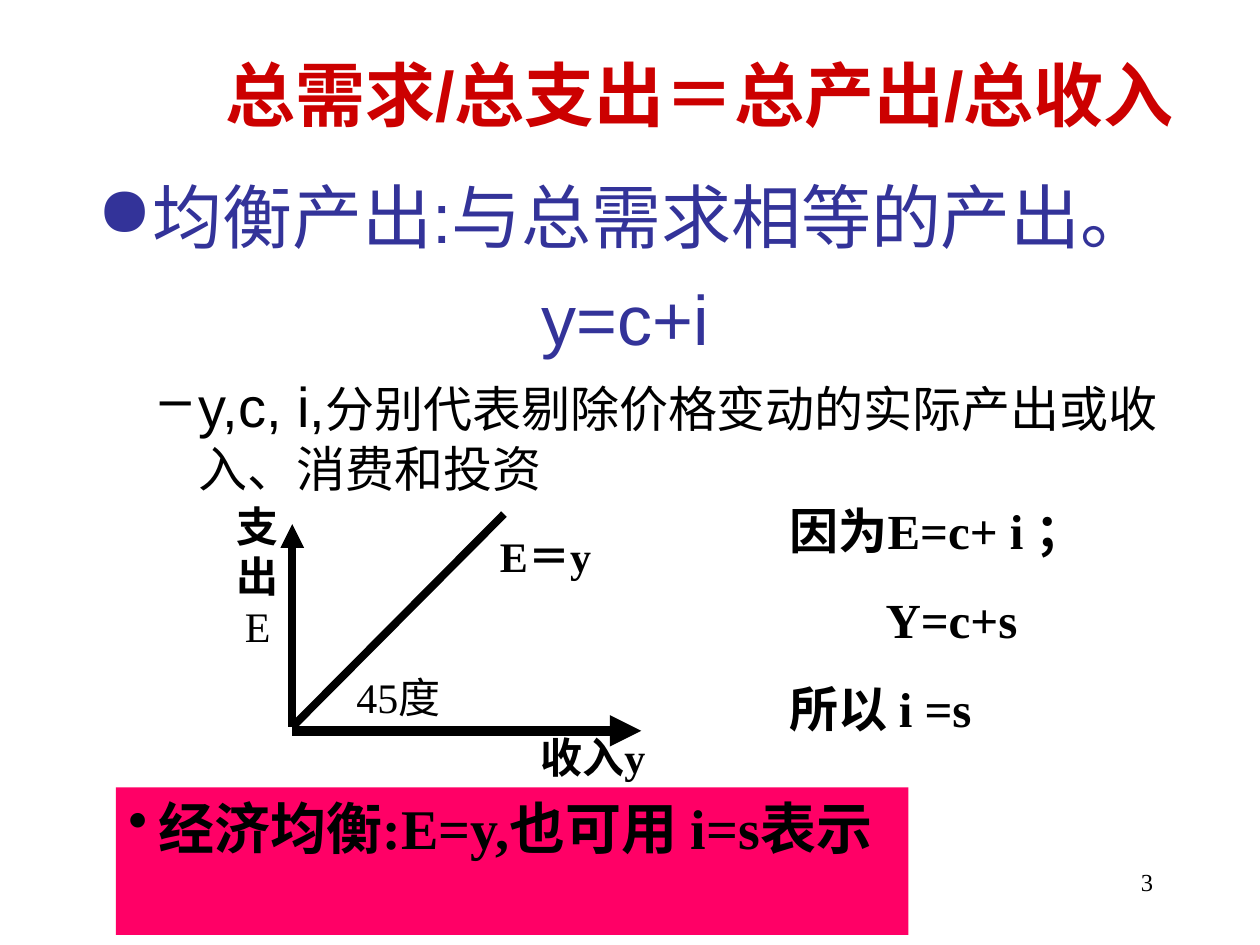
"""Build the slide on equilibrium output and the 45-degree line."""
from dataclasses import dataclass, field

import pptx
import pptx.dml.color
import pptx.enum.shapes
import pptx.enum.text
import pptx.oxml
import pptx.oxml.ns
import pptx.util

Inches, Pt = pptx.util.Inches, pptx.util.Pt
PP_ALIGN = pptx.enum.text.PP_ALIGN
ANCHOR = pptx.enum.text.MSO_ANCHOR
BLACK, BLUE, RED, PINK = "000000", "333399", "CC0000", "FF0066"
SANS, SERIF = "Arial", "Times New Roman"


@dataclass
class Run:
    text: str
    size: float = 24
    bold: bool = False
    name: str = SERIF
    color: str = BLACK


@dataclass
class Para:
    runs: list[Run]
    before: float = 0
    margin: float = 0
    indent: float = 0
    bullet: str = ""
    align: PP_ALIGN = PP_ALIGN.LEFT


@dataclass
class Box:
    left: float
    top: float
    width: float
    height: float
    paras: list[Para] = field(default_factory=list)
    fill: str = ""
    anchor: ANCHOR = ANCHOR.TOP


@dataclass
class Line:
    start: tuple[float, float]
    end: tuple[float, float]
    width: float
    arrow: bool = False


def rgb(value: str) -> pptx.dml.color.RGBColor:
    return pptx.dml.color.RGBColor.from_string(value)


def add_child(parent, xml: str):
    child = pptx.oxml.parse_xml(xml.replace("/>", f" {pptx.oxml.ns.nsdecls('a')}/>", 1))
    parent.append(child)
    return child


def add_bullet(p, para: Para) -> None:
    pPr = p._p.get_or_add_pPr()
    pPr.set("marL", str(Inches(para.margin)))
    pPr.set("indent", str(Inches(para.indent)))
    if para.bullet:
        clr = pptx.oxml.parse_xml(
            f'<a:buClr {pptx.oxml.ns.nsdecls("a")}><a:srgbClr val="{para.runs[0].color}"/></a:buClr>')
        pPr.append(clr)
        add_child(pPr, f'<a:buChar char="{para.bullet}"/>')
    else:
        add_child(pPr, "<a:buNone/>")


def add_box(s, box: Box) -> None:
    frame = [Inches(v) for v in (box.left, box.top, box.width, box.height)]
    if box.fill:
        sp = s.shapes.add_shape(pptx.enum.shapes.MSO_SHAPE.RECTANGLE, *frame)
        sp.shadow.inherit = False
        sp.fill.solid()
        sp.fill.fore_color.rgb = rgb(box.fill)
        sp.line.fill.background()
    else:
        sp = s.shapes.add_textbox(*frame)
    tf = sp.text_frame
    tf.word_wrap = True
    tf.vertical_anchor = box.anchor
    for i, para in enumerate(box.paras):
        p = tf.add_paragraph() if i else tf.paragraphs[0]
        add_bullet(p, para)
        p.alignment = para.align
        p.space_before = Pt(para.before)
        for run in para.runs:
            r = p.add_run()
            r.text = run.text
            formats = {"size": Pt(run.size), "bold": run.bold, "name": run.name}
            for key, value in formats.items():
                setattr(r.font, key, value)
            r.font.color.rgb = rgb(run.color)


def add_line(s, line: Line) -> None:
    ends = [Inches(v) for v in line.start + line.end]
    c = s.shapes.add_connector(pptx.enum.shapes.MSO_CONNECTOR.STRAIGHT, *ends)
    c.line.color.rgb = rgb(BLACK)
    c.line.width = Pt(line.width)
    if line.arrow:
        add_child(c.line._get_or_add_ln(), '<a:tailEnd type="triangle"/>')
    add_child(c._element.spPr, "<a:effectLst/>")


BOXES = [
    Box(7.17, 6.83, 2.08, 0.5, [Para([Run("3", 14)], align=PP_ALIGN.RIGHT)]),
    Box(1.69, 0.25, 8.03, 0.98,
        [Para([Run("总需求/总支出＝总产出/总收入", 40, True, SANS, RED)])], anchor=ANCHOR.MIDDLE),
    Box(0.67, 1.33, 8.9, 5.25, [
        Para([Run("均衡产出:与总需求相等的产出。", 40, False, SANS, BLUE)], 0, 0.38, -0.38, "●"),
        Para([Run("y=c+i", 40, False, SANS, BLUE)], 10, 3.53),
        Para([Run("y,c, i,", 32, name=SANS),
              Run("分别代表剔除价格变动的实际产出或收入、消费和投资", 28, name=SANS)],
             7, 0.81, -0.31, "–"),
    ]),
    Box(0.92, 6.25, 6.29, 1.17,
        [Para([Run("经济均衡:E=y,也可用 i=s表示", 32, True)], 0, 0.24, -0.24, "•")], PINK),
    Box(2.73, 5.28, 1.22, 0.5, [Para([Run("45度")])]),
    Box(4.19, 5.76, 1.14, 0.5, [Para([Run("收入y", bold=True)])]),
    Box(1.75, 3.92, 0.59, 1.3,
        [Para([Run("支出", bold=True), Run("E")], align=PP_ALIGN.CENTER)]),
    Box(3.87, 4.16, 1.3, 0.5, [Para([Run("E＝y", bold=True)])]),
    Box(6.17, 3.92, 3.33, 2.7, [
        Para([Run("因为E=c+ i ；", 28, True)]),
        Para([Run("Y=c+s", 28, True)], 17.5, 0.76),
        Para([Run("所以 i =s", 28, True)], 17.5),
    ]),
]

LINES = [
    Line((2.32, 5.8), (5.09, 5.8), 6, True),
    Line((2.32, 5.77), (2.32, 4.16), 4.5, True),
    Line((2.32, 5.77), (4, 4.08), 4.5),
]


def main() -> None:
    prs = pptx.Presentation()
    prs.slide_width, prs.slide_height = Inches(10), Inches(7.5)
    s = prs.slides.add_slide(prs.slide_layouts[6])
    for box in BOXES:
        add_box(s, box)
    for line in LINES:
        add_line(s, line)
    prs.save("out.pptx")


if __name__ == "__main__":
    main()
